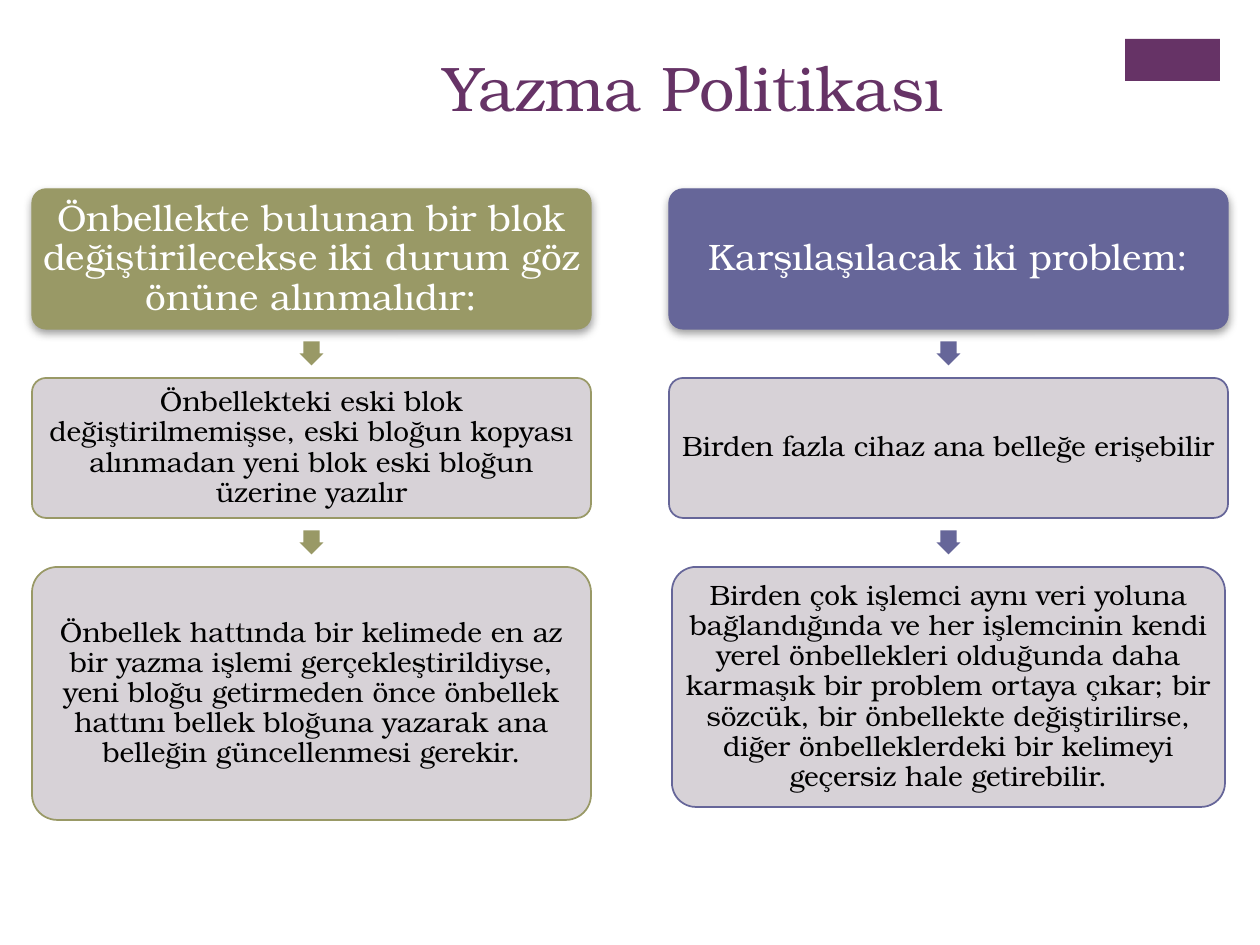
from lxml import etree
from pptx import Presentation
from pptx import util as u
from pptx.dml.color import RGBColor
from pptx.enum import shapes, text
from pptx.oxml import ns

COLORS = {
    "plum": "663366",
    "olive": "999966",
    "violet": "666699",
    "panel": "D3CED3",
    "shadow": "808080",
    "white": "FFFFFF",
    "black": "000000",
}
FONT = "TeX Gyre Bonum"
PX = u.Inches(1) / 126

COLUMN_WIDTH, BOX_HEIGHT, ROW_PITCH = 559, 140, 189
TOP, ARROW = 189, 24
COLUMNS = [
    {
        "left": 32,
        "color": "olive",
        "header": "Önbellekte bulunan bir blok değiştirilecekse iki durum göz önüne alınmalıdır:",
        "details": [
            ("Önbellekteki eski blok değiştirilmemişse, eski bloğun kopyası alınmadan "
             "yeni blok eski bloğun üzerine yazılır", COLUMN_WIDTH, BOX_HEIGHT),
            ("Önbellek hattında bir kelimede en az bir yazma işlemi gerçekleştirildiyse, "
             "yeni bloğu getirmeden önce önbellek hattını bellek bloğuna yazarak ana "
             "belleğin güncellenmesi gerekir.", COLUMN_WIDTH, 253),
        ],
    },
    {
        "left": 669,
        "color": "violet",
        "header": "Karşılaşılacak iki problem:",
        "details": [
            ("Birden fazla cihaz ana belleğe erişebilir", COLUMN_WIDTH, BOX_HEIGHT),
            ("Birden çok işlemci aynı veri yoluna bağlandığında ve her işlemcinin kendi "
             "yerel önbellekleri olduğunda daha karmaşık bir problem ortaya çıkar; bir "
             "sözcük, bir önbellekte değiştirilirse, diğer önbelleklerdeki bir kelimeyi "
             "geçersiz hale getirebilir.", 553, 240),
        ],
    },
]


def px(length):
    return u.Emu(round(length * PX))


def rgb(name):
    return RGBColor.from_string(COLORS[name])


def write(frame, content, size, color, align=text.PP_ALIGN.CENTER,
          anchor=text.MSO_ANCHOR.MIDDLE, inset=None, spacing=None):
    frame.word_wrap = True
    frame.auto_size = text.MSO_AUTO_SIZE.NONE
    frame.vertical_anchor = anchor
    if inset is not None:
        frame.margin_left = frame.margin_right = px(inset)
        frame.margin_top = frame.margin_bottom = px(inset)
    paragraph = frame.paragraphs[0]
    paragraph.alignment = align
    paragraph.line_spacing = spacing
    run = paragraph.add_run()
    run.text = content
    run.font.name = FONT
    run.font.size = u.Pt(size)
    run.font.color.rgb = rgb(color)


class Deck:
    def __init__(self, presentation):
        self.slide = presentation.slides.add_slide(presentation.slide_layouts[5])

    def title(self, content, left, top, width, height):
        shape = self.slide.shapes.title
        shape.left, shape.top = px(left), px(top)
        shape.width, shape.height = px(width), px(height)
        write(shape.text_frame, content, 36, "plum",
              align=text.PP_ALIGN.LEFT, anchor=text.MSO_ANCHOR.TOP)

    def shape(self, kind, left, top, width, height, fill, line=None, weight=1):
        shape = self.slide.shapes.add_shape(
            kind, px(left), px(top), px(width), px(height))
        shape.shadow.inherit = False
        shape.fill.solid()
        shape.fill.fore_color.rgb = rgb(fill)
        if line:
            shape.line.color.rgb = rgb(line)
            shape.line.width = u.Pt(weight)
        else:
            shape.line.fill.background()
        return shape

    def box(self, left, top, width, height, fill, line, weight):
        shape = self.shape(shapes.MSO_SHAPE.ROUNDED_RECTANGLE,
                           left, top, width, height, fill, line, weight)
        shape.adjustments[0] = 0.1
        return shape

    def header(self, content, left, top, color):
        shape = self.box(left, top, COLUMN_WIDTH, BOX_HEIGHT, color, color, 0.75)
        effects = shape._element.spPr.find(ns.qn("a:effectLst"))
        shadow = etree.SubElement(
            effects, ns.qn("a:outerShdw"), blurRad=str(u.Pt(5)),
            dist=str(u.Pt(2)), dir="5400000", rotWithShape="0")
        tint = etree.SubElement(shadow, ns.qn("a:srgbClr"), val=COLORS["shadow"])
        etree.SubElement(tint, ns.qn("a:alpha"), val="75000")
        write(shape.text_frame, content, 21, "white", inset=4, spacing=0.9)

    def detail(self, content, left, top, width, height, color):
        shape = self.box(left, top, width, height, "panel", color, 1)
        tint = shape._element.spPr.find(ns.qn("a:solidFill"))[0]
        etree.SubElement(tint, ns.qn("a:alpha"), val="90000")
        write(shape.text_frame, content, 16, "black", inset=3, spacing=0.9)

    def arrow(self, left, top, color):
        shape = self.shape(shapes.MSO_SHAPE.RIGHT_ARROW, left, top, ARROW, ARROW, color)
        shape.adjustments[0] = 0.667
        shape.adjustments[1] = 0.5
        shape.rotation = 90

    def column(self, left, color, header, details):
        self.header(header, left, TOP, color)
        center = left + COLUMN_WIDTH / 2
        gap = ROW_PITCH - BOX_HEIGHT
        for row, (content, width, height) in enumerate(details, 1):
            top = TOP + row * ROW_PITCH
            self.arrow(center - ARROW / 2, top - (gap + ARROW) / 2, color)
            self.detail(content, center - width / 2, top, width, height, color)


def main():
    presentation = Presentation()
    presentation.slide_width, presentation.slide_height = px(1260), px(945)
    deck = Deck(presentation)
    deck.shape(shapes.MSO_SHAPE.RECTANGLE, 1125, 39, 95, 42, "plum")
    for column in COLUMNS:
        deck.column(**column)
    deck.title("Yazma Politikası", 431, 42, 537, 154)
    presentation.save("out.pptx")


if __name__ == "__main__":
    main()
